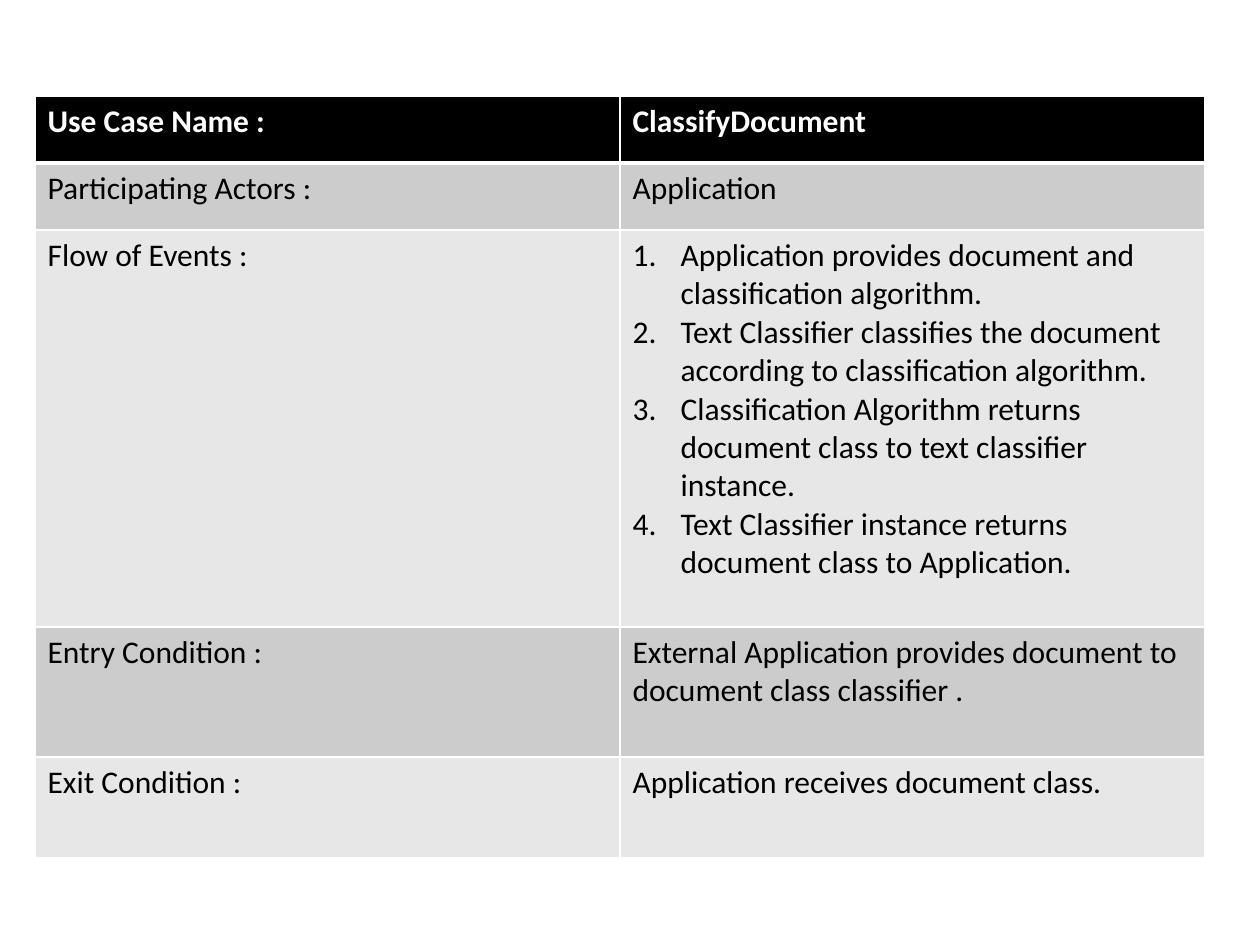
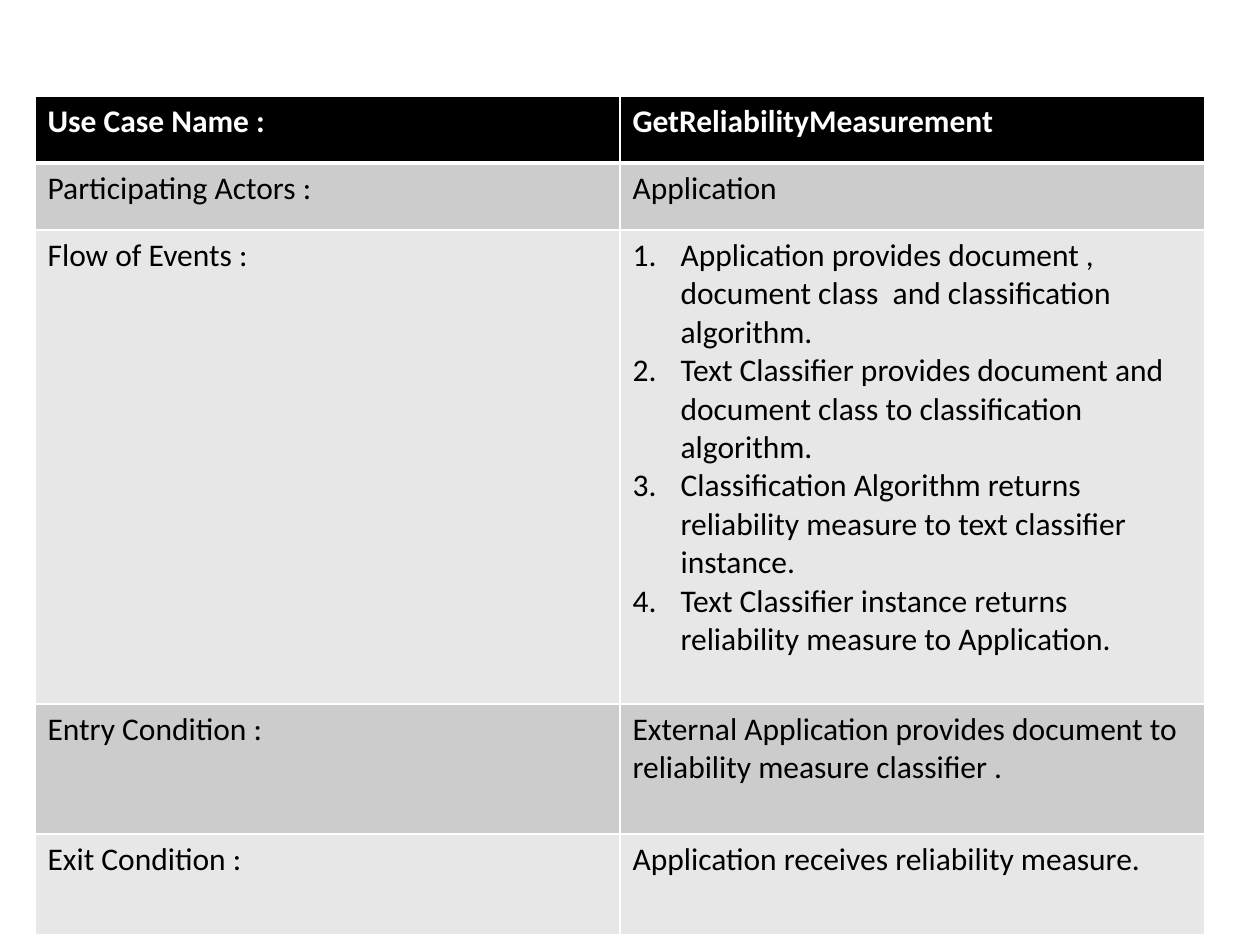
from lxml.etree import SubElement
from pptx import Presentation
from pptx.dml.color import RGBColor
from pptx.oxml.ns import qn
from pptx.util import Emu, Pt

# Shared style: lengths are whole pixels, 126 to the inch
PIXEL = 914400 // 126
BLACK, WHITE = "000000", "FFFFFF"
BAND_DARK, BAND_LIGHT = "CCCCCC", "E7E7E7"
TABLE_LEFT, TABLE_TOP, COLUMN_WIDTH = 35, 96, 585
NUMBER_INDENT = 48
LABELS = ["Use Case Name :", "Participating Actors :", "Flow of Events :",
          "Entry Condition :", "Exit Condition :"]


def color(hex_code):
    return RGBColor.from_string(hex_code)


def add_border(cell, side, points):
    line = SubElement(cell._tc.get_or_add_tcPr(), qn(f"a:{side}"), w=str(Pt(points)))
    fill = SubElement(line, qn("a:solidFill"))
    SubElement(fill, qn("a:srgbClr"), val=WHITE)


# Content: height of the flow row, then one entry per label
use_cases = [
    (397, ["ClassifyDocument",
           "Application",
           ["Application provides document and classification algorithm.",
            "Text Classifier classifies the document according to classification algorithm.",
            "Classification Algorithm returns document class to text classifier instance.",
            "Text Classifier instance returns document class to Application."],
           "External Application provides document to document class classifier .",
           "Application receives document class."]),
    (474, ["GetReliabilityMeasurement",
           "Application",
           ["Application provides document , document class  and classification algorithm.",
            "Text Classifier provides document and document class to classification algorithm.",
            "Classification Algorithm returns reliability measure to text classifier instance.",
            "Text Classifier instance returns reliability measure to Application."],
           "External Application provides document to reliability measure classifier .",
           "Application receives reliability measure."]),
]

prs = Presentation()
prs.slide_width = Emu(1260 * PIXEL)
prs.slide_height = Emu(945 * PIXEL)
blank_layout = prs.slide_layouts[6]

for flow_height, details in use_cases:
    slide = prs.slides.add_slide(blank_layout)
    row_heights = [67, 67, flow_height, 130, 101]

    # Table grid
    use_case = slide.shapes.add_table(
        len(LABELS), 2, TABLE_LEFT * PIXEL, TABLE_TOP * PIXEL,
        2 * COLUMN_WIDTH * PIXEL, sum(row_heights) * PIXEL).table
    for column in use_case.columns:
        column.width = Emu(COLUMN_WIDTH * PIXEL)
    for row, height in zip(use_case.rows, row_heights):
        row.height = Emu(height * PIXEL)

    for row_index, label_and_detail in enumerate(zip(LABELS, details)):
        is_header = row_index == 0
        band = BLACK if is_header else BAND_DARK if row_index % 2 else BAND_LIGHT
        for column_index, content in enumerate(label_and_detail):
            cell = use_case.cell(row_index, column_index)

            # White rules, thicker under the header
            for side in ("lnL", "lnR", "lnT", "lnB"):
                under_header = (row_index, side) in [(0, "lnB"), (1, "lnT")]
                add_border(cell, side, 3 if under_header else 1)
            cell.fill.solid()
            cell.fill.fore_color.rgb = color(band)

            # Text, numbered where the content is a list of steps
            is_steps = isinstance(content, list)
            cell.text_frame.text = "\n".join(content) if is_steps else content
            for paragraph in cell.text_frame.paragraphs:
                paragraph.font.name = "Calibri"
                paragraph.font.size = Pt(18)
                paragraph.font.bold = is_header
                paragraph.font.color.rgb = color(WHITE if is_header else BLACK)
                if is_steps:
                    properties = paragraph._p.get_or_add_pPr()
                    properties.set("marL", str(NUMBER_INDENT * PIXEL))
                    properties.set("indent", str(-NUMBER_INDENT * PIXEL))
                    numbering = properties.makeelement(
                        qn("a:buAutoNum"), {"type": "arabicPeriod"})
                    properties.insert(0, numbering)

prs.save("out.pptx")
